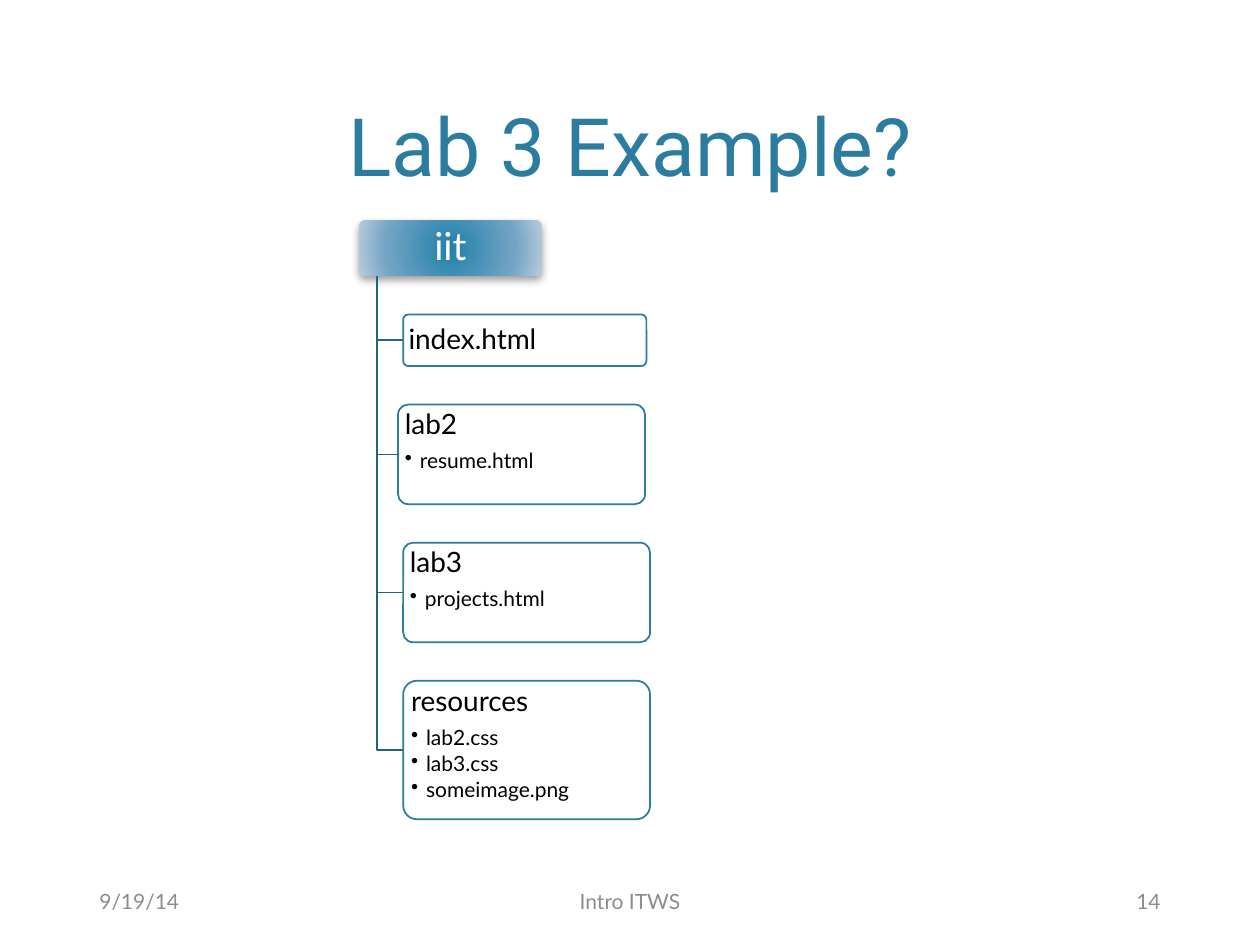
"""Build the Lab 3 folder tree slide."""
from lxml.etree import SubElement
from pptx import Presentation
from pptx.dml.color import RGBColor
from pptx.enum.shapes import MSO_SHAPE as Shape
from pptx.enum.text import MSO_ANCHOR as Anchor, PP_ALIGN as Align
from pptx.oxml import parse_xml
from pptx.oxml.ns import nsdecls, qn
from pptx.util import Pt

COLORS = {
    "title": "2C7C9F", "border": "2C7C9F", "branch": "23637F",
    "core": "2080AB", "middle": "75A5C5", "rim": "B8CCDC",
    "paper": "FFFFFF", "ink": "000000", "footer": "8C8C8C",
}
GAP = 22
TRUNK = 215.3


def style(para, size, color, align=Align.LEFT, face="Lato"):
    para.font.name = face
    para.font.size = Pt(size)
    para.font.color.rgb = RGBColor.from_string(COLORS[color])
    para.alignment = align


def rounded_box(left, top, width, height, inset, anchor):
    box = page.shapes.add_shape(
        Shape.ROUNDED_RECTANGLE, Pt(left), Pt(top), Pt(width), Pt(height))
    box.adjustments[0] = 0.1
    box.shadow.inherit = False
    frame = box.text_frame
    frame.word_wrap = True
    frame.vertical_anchor = anchor
    frame.margin_left = frame.margin_right = Pt(inset)
    frame.margin_top = frame.margin_bottom = Pt(1.5)
    return box


deck = Presentation()
deck.slide_width, deck.slide_height = Pt(720), Pt(540)
page = deck.slides.add_slide(deck.slide_layouts[5])

title = page.shapes.title
title.left, title.top, title.width, title.height = Pt(43.2), Pt(8.6), Pt(633.6), Pt(105.1)
title.text_frame.vertical_anchor = Anchor.BOTTOM
title.text_frame.text = "Lab 3 Example?"
style(title.text_frame.paragraphs[0], 46, "title", Align.CENTER, "Roboto")

root = rounded_box(205.2, 126, 104.4, 31.7, 3.6, Anchor.MIDDLE)
root.line.fill.background()
root.fill.background()
stops = "".join(
    f'<a:gs pos="{place * 1000}"><a:srgbClr val="{COLORS[name]}"/></a:gs>'
    for place, name in ((0, "core"), (69, "middle"), (100, "rim")))
gradient = parse_xml(
    f'<a:gradFill {nsdecls("a")}><a:gsLst>{stops}</a:gsLst><a:path path="circle">'
    '<a:fillToRect l="50000" t="50000" r="50000" b="50000"/></a:path></a:gradFill>')
properties = root._element.spPr
properties.replace(properties.find(qn("a:noFill")), gradient)
properties.find(qn("a:effectLst")).append(parse_xml(
    f'<a:outerShdw {nsdecls("a")} blurRad="{Pt(5)}" dist="{Pt(2)}" dir="5400000" rotWithShape="0">'
    '<a:srgbClr val="000000"><a:alpha val="40000"/></a:srgbClr></a:outerShdw>'))
root.text_frame.text = "iit"
root_para = root.text_frame.paragraphs[0]
style(root_para, 22, "paper", Align.CENTER)
root_para.line_spacing = 0.9

trunk_top = 126 + 31.7
top = trunk_top + GAP
branches = [
    (230.4, 139, 29.5, "index.html", []),
    (227.5, 141.1, 56.9, "lab2", ["resume.html"]),
    (230.4, 141.1, 56.9, "lab3", ["projects.html"]),
    (230.4, 141.1, 79.2, "resources", ["lab2.css", "lab3.css", "someimage.png"]),
]
for left, width, height, name, files in branches:
    middle = top + height / 2
    builder = page.shapes.build_freeform(Pt(TRUNK), Pt(trunk_top))
    builder.add_line_segments(
        [(Pt(TRUNK), Pt(middle)), (Pt(left), Pt(middle))], close=False)
    branch = builder.convert_to_shape()
    branch.shadow.inherit = False
    branch.fill.background()
    branch.line.color.rgb = RGBColor.from_string(COLORS["branch"])
    branch.line.width = Pt(1)

    box = rounded_box(left, top, width, height, 2.2,
                      Anchor.TOP if files else Anchor.MIDDLE)
    box.fill.solid()
    box.fill.fore_color.rgb = RGBColor.from_string(COLORS["paper"])
    box.line.color.rgb = RGBColor.from_string(COLORS["border"])
    box.line.width = Pt(1)
    box.text_frame.text = "\n".join([name, *files])
    for index, para in enumerate(box.text_frame.paragraphs):
        style(para, 12 if index else 16, "ink")
        para.line_spacing = 0.9
        para.space_after = Pt(1.8 if index else 5.6)
        if index:
            para.level = 1
            settings = para._p.get_or_add_pPr()
            settings.set("marL", str(Pt(8.6)))
            settings.set("indent", str(Pt(-8.6)))
            bullet = parse_xml(f'<a:buChar {nsdecls("a")} char="•"/>')
            settings.insert_element_before(bullet, "a:tabLst", "a:defRPr", "a:extLst")
    top += height + GAP

footers = [
    (49.7, 193.7, "9/19/14", Align.LEFT),
    (274.3, 171.4, "Intro ITWS", Align.CENTER),
    (476.6, 193.7, "14", Align.RIGHT),
]
for left, width, words, align in footers:
    footer = page.shapes.add_textbox(Pt(left), Pt(500.4), Pt(width), Pt(28.8))
    footer.text_frame.word_wrap = True
    footer.text_frame.vertical_anchor = Anchor.MIDDLE
    if words.isdigit():
        para = footer.text_frame.paragraphs[0]
        field = SubElement(para._p, qn("a:fld"), type="slidenum",
                           id="{B6F15528-21DE-4FAA-801E-634DDDAF4B2B}")
        SubElement(field, qn("a:rPr"), lang="en-US")
        SubElement(field, qn("a:t")).text = words
        para._p.remove(field)
    footer.text_frame.text = words
    style(footer.text_frame.paragraphs[0], 12, "footer", align)

deck.save("out.pptx")
